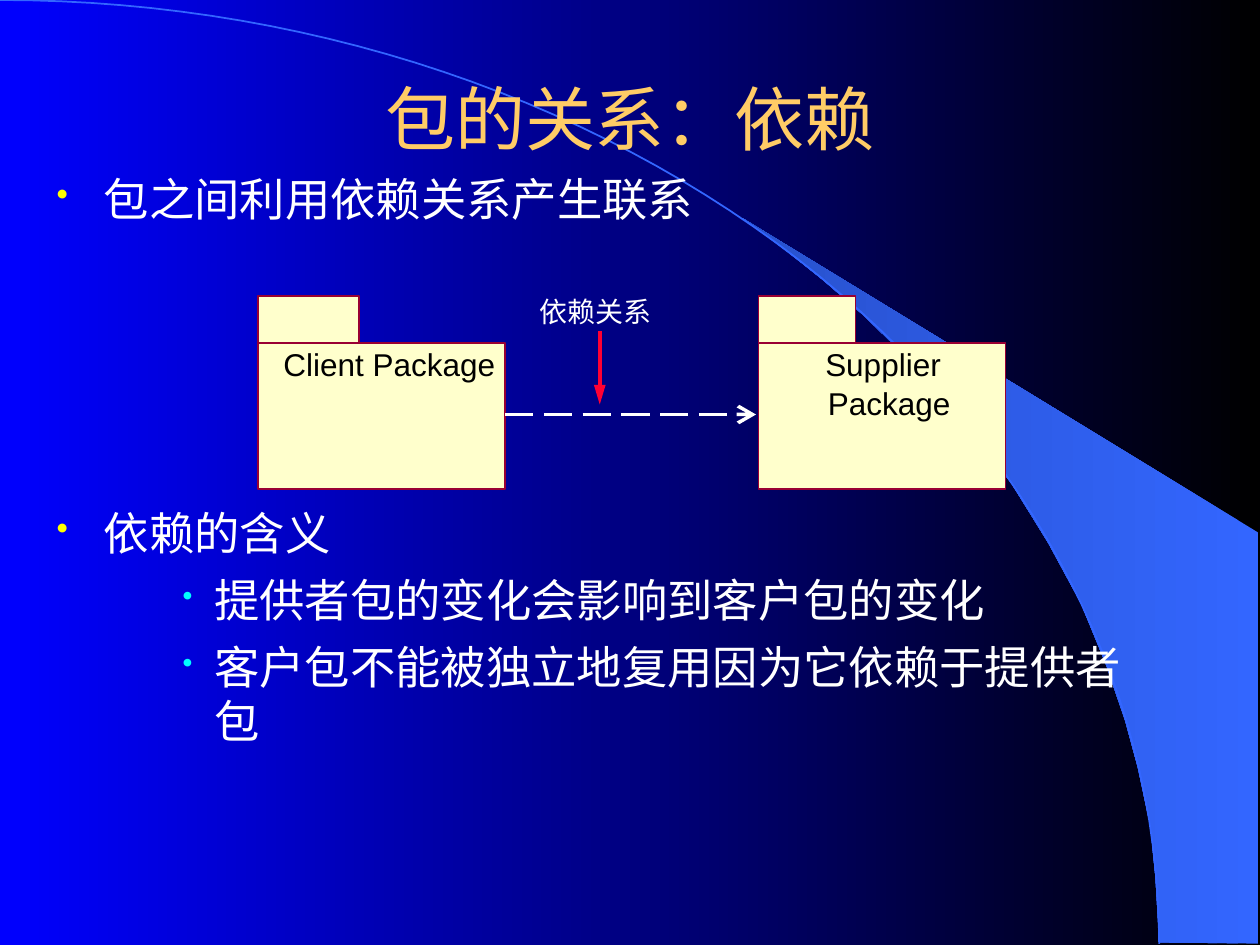
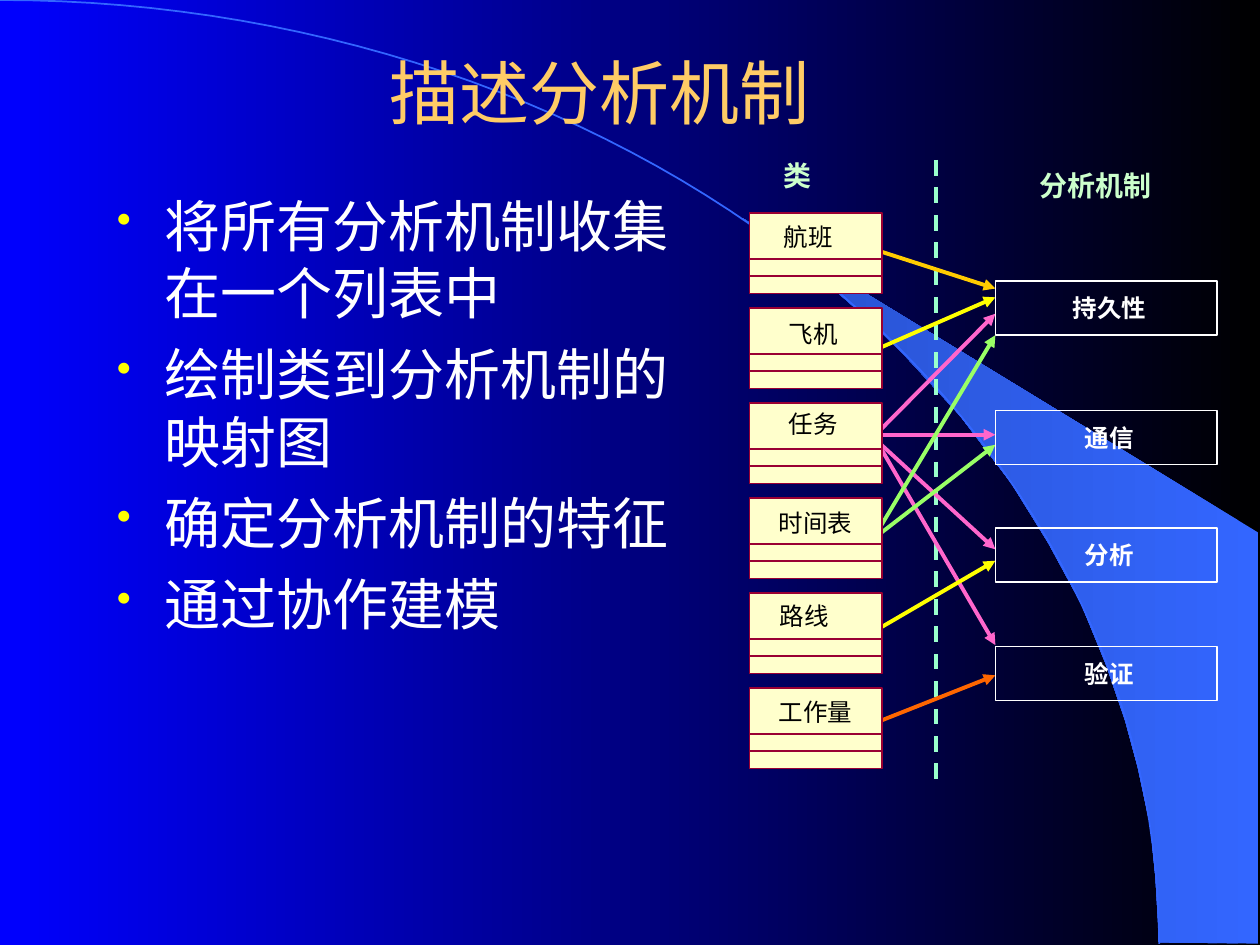
"""Builds two slides on package dependencies and analysis mechanisms."""
import math
from collections import namedtuple

from lxml import etree
from pptx import Presentation
from pptx import util as u
from pptx.dml.color import RGBColor
from pptx.enum import dml, shapes, text
from pptx.oxml import ns

COLUMNS, ROWS = 100, 75
CELL = u.Inches(0.1)

BLACK, WHITE, BLUE = "000000", "FFFFFF", "0000FF"
ARC_BLUE, ARC_SHADE = "3366FF", "2851CC"
TITLE_GOLD, BULLET_YELLOW, BULLET_CYAN = "FFCC66", "FFFF00", "00FFFF"
CREAM, MAROON, RED = "FFFFCC", "990033", "FF0033"
MINT, DIVIDER_GREEN = "CCFFCC", "99FFCC"
GOLD, YELLOW, PINK, LIME, ORANGE = "FFCC00", "FFFF00", "FF66CC", "99FF66", "FF6600"

BODY_FONT, LABEL_FONT = "Times New Roman", "Arial"
PADDING, WIDE_PADDING = (1, 0.5), (1.2, 0.6)

OPEN_HEAD = {"type": "arrow", "w": "lg", "len": "lg"}
LONG_HEAD = {"type": "triangle", "w": "med", "len": "lg"}
PLAIN_HEAD = {"type": "triangle"}

SWOOSH = [(92, 74.8), (99.9, 74.9), (99.9, 42.3), (58.9, 17.3), (62.4, 19.9),
          (65.3, 22.2), (68.5, 25), (71.6, 28), (76.2, 33), (80.3, 38.4),
          (83.2, 43.1), (85.8, 47.9), (87.8, 52.8), (89.3, 57.2),
          (90.3, 60.9), (91.3, 65.6), (91.7, 69.6)]
ARC_WIDTH, ARC_HEIGHT, ARC_STEPS = 92, 74.9, 60

CLASSES = [("航班", 2.7, 0.7), ("飞机", 3.1, 0.9), ("任务", 3.1, 0.5),
           ("时间表", 2.3, 0.8), ("路线", 2.4, 0.6), ("工作量", 2.3, 0.7)]
CLASS_PITCH = 7.54
MECHANISMS = [("持久性", 10.3), ("通信", 20.6), ("分析", 29.9), ("验证", 39.3)]
LINKS = [(7.8, 10.9, GOLD), (15.8, 11.6, YELLOW), (22.7, 39.2, PINK),
         (22.6, 12.9, PINK), (22.5, 22.5, PINK), (22.8, 31.6, PINK),
         (30.7, 23.3, LIME), (45.4, 41.6, ORANGE), (30.6, 14.6, LIME),
         (38.1, 32.5, YELLOW)]

Box = namedtuple("Box", "left top width height")
Bullet = namedtuple("Bullet", "text before hanging left level color size")


def cells(count):
    """Convert grid cells to a length."""
    return u.Emu(round(count * CELL))


def rgb(value):
    """Convert a hex string to a colour."""
    return RGBColor.from_string(value)


def within(box, left, top, width=0, height=0):
    """Return a box placed relative to the corner of another."""
    return Box(box.left + left, box.top + top, width, height)


def place(box):
    """Convert a grid box to slide lengths."""
    return [cells(side) for side in box]


def set_gradient(fill, first, last):
    """Fill with a gradient that runs from right to left."""
    fill.gradient()
    fill.gradient_angle = 180
    for stop, color in zip(fill.gradient_stops, (first, last)):
        stop.color.rgb = rgb(color)


def style_run(paragraph, size, color, font=LABEL_FONT, bold=False):
    """Format every run of a paragraph."""
    for run in paragraph.runs:
        run.font.size = u.Pt(size)
        run.font.name = font
        run.font.bold = bold
        run.font.color.rgb = rgb(color)


def set_frame(frame, padding, anchor=text.MSO_ANCHOR.TOP):
    """Set the margins, wrapping and anchor of a text frame."""
    frame.word_wrap = True
    frame.vertical_anchor = anchor
    frame.margin_left = frame.margin_right = cells(padding[0])
    frame.margin_top = frame.margin_bottom = cells(padding[1])


def add_label(slide, box, words, size, color, align=text.PP_ALIGN.CENTER,
              padding=PADDING, bold=False, anchor=text.MSO_ANCHOR.TOP):
    """Add a one-line text box."""
    frame = slide.shapes.add_textbox(*place(box)).text_frame
    set_frame(frame, padding, anchor)
    frame.text = words
    frame.paragraphs[0].alignment = align
    style_run(frame.paragraphs[0], size, color, bold=bold)


def add_tag(slide, box, left, top, words, size):
    """Add a black name that may run to the right edge of its box."""
    room = within(box, left, top, box.width - left, size / 6)
    add_label(slide, room, words, size, BLACK, text.PP_ALIGN.LEFT, (0, 0))


def add_rectangle(slide, box, line, width, fill=None):
    """Add an outlined rectangle with an optional fill."""
    shape = slide.shapes.add_shape(shapes.MSO_SHAPE.RECTANGLE, *place(box))
    shape.shadow.inherit = False
    if fill:
        shape.fill.solid()
        shape.fill.fore_color.rgb = rgb(fill)
    else:
        shape.fill.background()
    shape.line.color.rgb = rgb(line)
    shape.line.width = u.Pt(width)
    return shape


def add_line(slide, start, end, color, width, dash=None, head=None):
    """Add a straight line with an optional dash and arrowhead."""
    ends = [cells(value) for value in (*start, *end)]
    connector = slide.shapes.add_connector(shapes.MSO_CONNECTOR.STRAIGHT, *ends)
    connector.line.color.rgb = rgb(color)
    connector.line.width = u.Pt(width)
    if dash:
        connector.line.dash_style = dash
    properties = connector.element.spPr
    if head:
        outline = properties.find(ns.qn("a:ln"))
        etree.SubElement(outline, ns.qn("a:tailEnd"), head)
    etree.SubElement(properties, ns.qn("a:effectLst"))


def add_outline(slide, points, close):
    """Add a freeform through grid points."""
    corners = [(cells(x), cells(y)) for x, y in points]
    builder = slide.shapes.build_freeform(*corners[0])
    builder.add_line_segments(corners[1:], close=close)
    shape = builder.convert_to_shape()
    shape.shadow.inherit = False
    return shape


def add_backdrop(slide):
    """Add the gradient background, the swoosh and the arc."""
    set_gradient(slide.background.fill, BLACK, BLUE)
    swoosh = add_outline(slide, SWOOSH, True)
    set_gradient(swoosh.fill, ARC_BLUE, ARC_SHADE)
    swoosh.line.fill.background()
    angles = [math.pi / 2 * step / ARC_STEPS for step in range(ARC_STEPS + 1)]
    arc = add_outline(slide, [(ARC_WIDTH * math.sin(angle), ARC_HEIGHT * (1 - math.cos(angle)))
                              for angle in angles], False)
    arc.fill.background()
    arc.line.color.rgb = rgb(ARC_BLUE)
    arc.line.width = u.Pt(1)


def start_slide(presentation, title, title_box):
    """Add a blank slide with the backdrop and its title."""
    slide = presentation.slides.add_slide(presentation.slide_layouts[6])
    add_backdrop(slide)
    add_label(slide, title_box, title, 40, TITLE_GOLD, anchor=text.MSO_ANCHOR.MIDDLE)
    return slide


def main_bullet(words, before):
    """Describe a first-level bullet."""
    return Bullet(words, before, 3.75, 3.75, 0, BULLET_YELLOW, 75)


def sub_bullet(words, before):
    """Describe a nested bullet."""
    return Bullet(words, before, 2.5, 12.5, 2, BULLET_CYAN, 65)


def add_bullets(slide, box, bullets, size):
    """Add the bulleted body text."""
    frame = slide.shapes.add_textbox(*place(box)).text_frame
    set_frame(frame, PADDING)
    frame.text = "\n".join(bullet.text for bullet in bullets)
    for paragraph, bullet in zip(frame.paragraphs, bullets):
        paragraph.level = bullet.level
        paragraph.space_before = u.Pt(bullet.before)
        style_run(paragraph, size, WHITE, BODY_FONT)
        properties = paragraph._p.get_or_add_pPr()
        properties.set("marL", str(cells(bullet.left)))
        properties.set("indent", str(-cells(bullet.hanging)))
        color = etree.SubElement(properties, ns.qn("a:buClr"))
        etree.SubElement(color, ns.qn("a:srgbClr"), val=bullet.color)
        etree.SubElement(properties, ns.qn("a:buSzPct"), val=str(bullet.size * 1000))
        etree.SubElement(properties, ns.qn("a:buChar"), char="•")


def add_package(slide, box, tab_width, names):
    """Add a package symbol: a body, a tab and its name lines."""
    tab_height = 3.7
    body = within(box, 0, tab_height, box.width, box.height - tab_height)
    add_rectangle(slide, body, MAROON, 1, CREAM)
    add_rectangle(slide, within(box, 0, 0, tab_width, tab_height), MAROON, 1, CREAM)
    for row, (name, left) in enumerate(names):
        add_tag(slide, body, left, 0.2 + 3.1 * row, name, 18)


def add_dependency(slide, box):
    """Add client and supplier packages joined by a dashed arrow."""
    package = Box(box.left, box.top, 19.6, 15.3)
    supplier = package._replace(left=box.left + box.width - package.width)
    add_package(slide, package, 8, [("Client Package", 2)])
    add_package(slide, supplier, 7.7, [("Supplier", 5.3), ("Package", 5.5)])
    arrow_row = box.top + 9.4
    add_line(slide, (package.left + package.width, arrow_row), (supplier.left - 0.2, arrow_row),
             WHITE, 2, dml.MSO_LINE.LONG_DASH, OPEN_HEAD)
    add_label(slide, within(box, 13, -0.6, 27.5, 3.7), "依赖关系", 16, WHITE)
    pointer = box.left + 27.1
    add_line(slide, (pointer, box.top + 2.8), (pointer, box.top + 8.6), RED, 2.25, head=LONG_HEAD)


def add_class(slide, box, name, left, top):
    """Add a class symbol with two compartment lines and its name."""
    add_rectangle(slide, box, MAROON, 0.75, CREAM)
    for row in (3.65, 5):
        add_line(slide, (box.left, box.top + row), (box.left + box.width, box.top + row),
                 MAROON, 0.75)
    add_tag(slide, box, left, top, name, 14)


def add_mechanism(slide, box, name):
    """Add an outlined mechanism with its centred name."""
    shape = add_rectangle(slide, box, WHITE, 0.75)
    set_frame(shape.text_frame, (0, 0), text.MSO_ANCHOR.MIDDLE)
    shape.text_frame.margin_left = cells(0.5)
    shape.text_frame.text = name
    shape.text_frame.paragraphs[0].alignment = text.PP_ALIGN.CENTER
    style_run(shape.text_frame.paragraphs[0], 14, WHITE, bold=True)


def add_mapping(slide, box):
    """Map the classes on the left to the mechanisms on the right."""
    mechanism_left = 19.5
    add_label(slide, within(box, 1.5, 0, 11.4, 3.9), "类", 16, MINT,
              text.PP_ALIGN.LEFT, WIDE_PADDING, True)
    add_label(slide, within(box, 18.9, 0.8, 17.1, 3.9), "分析机制", 16, MINT,
              padding=WIDE_PADDING, bold=True)
    divider = box.left + 14.8
    add_line(slide, (divider, box.top + 0.7), (divider, box.top + box.height),
             DIVIDER_GREEN, 2.25, dml.MSO_LINE.DASH)
    for start, end, color in LINKS:
        add_line(slide, (box.left + 9.9, box.top + start),
                 (box.left + mechanism_left, box.top + end), color, 2.25, head=PLAIN_HEAD)
    for name, top in MECHANISMS:
        add_mechanism(slide, within(box, mechanism_left, top, 17.6, 4.3), name)
    for row, (name, left, top) in enumerate(CLASSES):
        add_class(slide, within(box, 0, 4.9 + CLASS_PITCH * row, 10.5, 6.4), name, left, top)


def build_dependency_slide(presentation):
    """Build the slide on package dependency."""
    slide = start_slide(presentation, "包的关系：依赖", Box(7.5, 6.7, 85, 5.2))
    add_bullets(slide, Box(3.5, 13.1, 89.9, 45.8), [
        main_bullet("包之间利用依赖关系产生联系", 7),
        main_bullet("依赖的含义", 160),
        sub_bullet("提供者包的变化会影响到客户包的变化", 7),
        sub_bullet("客户包不能被独立地复用因为它依赖于提供者包", 7)], 25.9)
    add_dependency(slide, Box(20.5, 23.5, 59.3, 15.3))


def build_mechanism_slide(presentation):
    """Build the slide on analysis mechanisms."""
    slide = start_slide(presentation, "描述分析机制", Box(5.1, 3.6, 85, 7.4))
    steps = ["将所有分析机制收集在一个列表中", "绘制类到分析机制的映射图",
             "确定分析机制的特征", "通过协作建模"]
    add_bullets(slide, Box(8.3, 14.7, 46.5, 45.8), [main_bullet(step, 8) for step in steps], 32)
    add_mapping(slide, Box(59.5, 12, 37.1, 50.7))


def main():
    """Build and save the presentation."""
    presentation = Presentation()
    presentation.slide_width = cells(COLUMNS)
    presentation.slide_height = cells(ROWS)
    build_dependency_slide(presentation)
    build_mechanism_slide(presentation)
    presentation.save("out.pptx")


if __name__ == "__main__":
    main()
